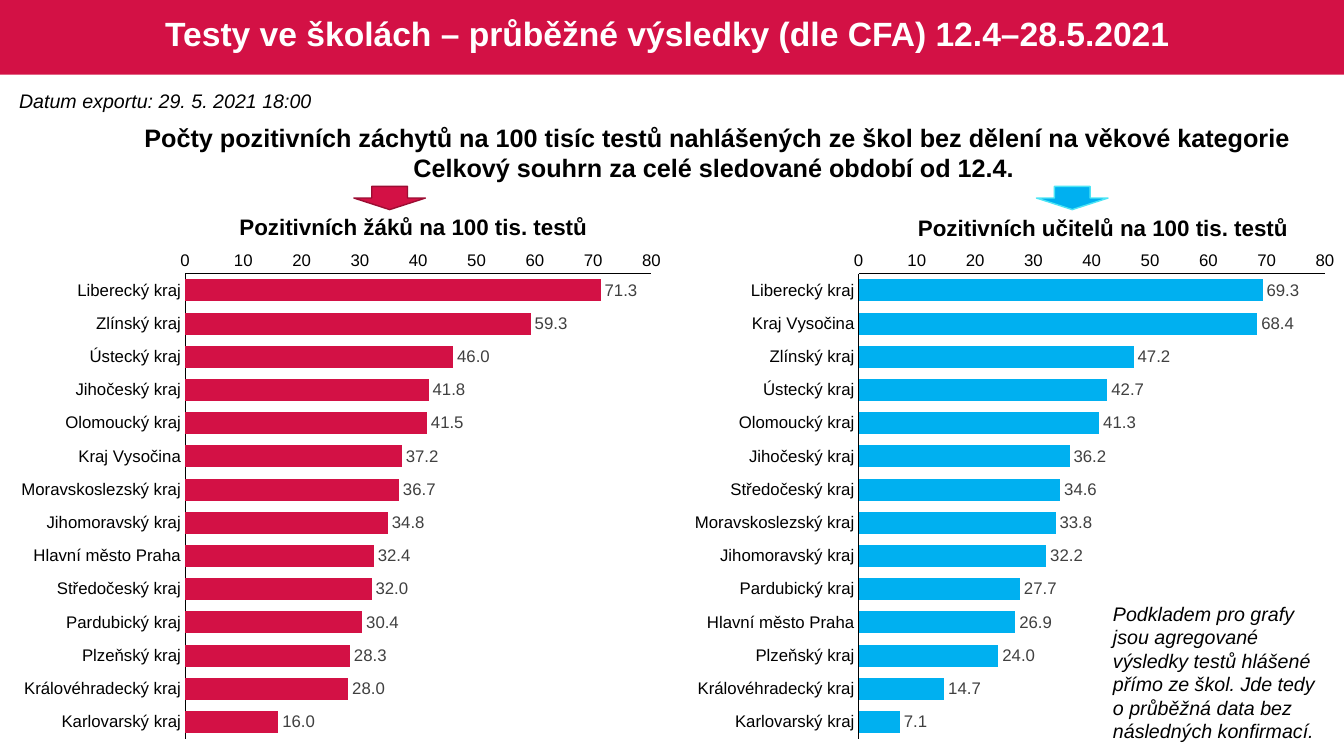
"""Build the slide with regional school test results for pupils and teachers."""
from dataclasses import dataclass

from lxml import etree
from pptx import Presentation
from pptx.chart.data import CategoryChartData
from pptx.dml.color import RGBColor
from pptx.enum.chart import XL_CHART_TYPE, XL_LABEL_POSITION, XL_TICK_MARK
from pptx.enum.shapes import MSO_SHAPE
from pptx.enum.text import MSO_ANCHOR, MSO_AUTO_SIZE, PP_ALIGN
from pptx.oxml.ns import qn
from pptx.slide import Slide
from pptx.text.text import Font
from pptx.util import Emu, Pt

BAR = XL_CHART_TYPE.BAR_CLUSTERED
OUTSIDE_END = XL_LABEL_POSITION.OUTSIDE_END
NO_TICK = XL_TICK_MARK.NONE
RECTANGLE, DOWN_ARROW = MSO_SHAPE.RECTANGLE, MSO_SHAPE.DOWN_ARROW
TOP, MIDDLE = MSO_ANCHOR.TOP, MSO_ANCHOR.MIDDLE
GROW, FIXED = MSO_AUTO_SIZE.SHAPE_TO_FIT_TEXT, MSO_AUTO_SIZE.NONE
LEFT, CENTER = PP_ALIGN.LEFT, PP_ALIGN.CENTER
EMU_PER_PX = 9144


@dataclass(frozen=True)
class Theme:
    font: str = "Arial"
    red: str = "D31145"
    dark_red: str = "9C0D33"
    blue: str = "00B0F0"
    light_blue: str = "4DE5F5"
    white: str = "FFFFFF"
    black: str = "000000"
    grey: str = "404040"
    title: int = 24
    subtitle: int = 18
    heading: int = 16
    note: int = 14
    chart: int = 12


@dataclass(frozen=True)
class Area:
    left: int
    top: int
    width: int
    height: int

    def emu(self) -> tuple[Emu, ...]:
        sides = (self.left, self.top, self.width, self.height)
        return tuple(Emu(side * EMU_PER_PX) for side in sides)


THEME = Theme()


@dataclass(frozen=True)
class Label:
    area: Area
    lines: tuple[str, ...]
    size: int
    color: str = THEME.black
    bold: bool = False
    italic: bool = False
    align: PP_ALIGN = CENTER
    anchor: MSO_ANCHOR = TOP
    spacing: float = 1.0
    wrap: bool = False
    fit: MSO_AUTO_SIZE = GROW


@dataclass(frozen=True)
class Panel:
    heading: Label
    arrow: Area
    chart: Area
    fill: str
    outline: str
    rates: dict[str, float]


LABELS = (
    Label(Area(18, 4, 1297, 63),
          ("Testy ve školách – průběžné výsledky (dle CFA) 12.4–28.5.2021 ",),
          THEME.title, THEME.white, bold=True, anchor=MIDDLE, spacing=0.9,
          wrap=True, fit=FIXED),
    Label(Area(9, 83, 312, 34), ("Datum exportu: 29. 5. 2021 18:00",),
          THEME.note, italic=True, align=LEFT),
    Label(Area(128, 116, 1167, 71),
          ("Počty pozitivních záchytů na 100 tisíc testů nahlášených ze škol "
           "bez dělení na věkové kategorie",
           "Celkový souhrn za celé sledované období od 12.4. "),
          THEME.subtitle, bold=True),
    Label(Area(1094, 592, 235, 151),
          ("Podkladem pro grafy jsou agregované výsledky testů hlášené přímo "
           "ze škol. Jde tedy o průběžná data bez následných konfirmací.",),
          THEME.note, italic=True, align=LEFT, wrap=True),
)

PANELS = (
    Panel(Label(Area(225, 207, 370, 37), ("Pozitivních žáků na 100 tis. testů",),
                THEME.heading, bold=True),
          Area(351, 185, 71, 23), Area(9, 241, 661, 503), THEME.red, THEME.dark_red,
          {"Liberecký kraj": 71.3, "Zlínský kraj": 59.3, "Ústecký kraj": 46.0,
           "Jihočeský kraj": 41.8, "Olomoucký kraj": 41.5, "Kraj Vysočina": 37.2,
           "Moravskoslezský kraj": 36.7, "Jihomoravský kraj": 34.8,
           "Hlavní město Praha": 32.4, "Středočeský kraj": 32.0,
           "Pardubický kraj": 30.4, "Plzeňský kraj": 28.3,
           "Královéhradecký kraj": 28.0, "Karlovarský kraj": 16.0}),
    Panel(Label(Area(898, 208, 392, 37), ("Pozitivních učitelů na 100 tis. testů",),
                THEME.heading, bold=True),
          Area(1028, 185, 71, 23), Area(677, 241, 661, 503), THEME.blue, THEME.light_blue,
          {"Liberecký kraj": 69.3, "Kraj Vysočina": 68.4, "Zlínský kraj": 47.2,
           "Ústecký kraj": 42.7, "Olomoucký kraj": 41.3, "Jihočeský kraj": 36.2,
           "Středočeský kraj": 34.6, "Moravskoslezský kraj": 33.8,
           "Jihomoravský kraj": 32.2, "Pardubický kraj": 27.7,
           "Hlavní město Praha": 26.9, "Plzeňský kraj": 24.0,
           "Královéhradecký kraj": 14.7, "Karlovarský kraj": 7.1}),
)


def rgb(color: str) -> RGBColor:
    return RGBColor.from_string(color)


def style_font(font: Font, size: int, color: str) -> None:
    font.name = THEME.font
    font.size = Pt(size)
    font.color.rgb = rgb(color)


def add_label(page: Slide, label: Label) -> None:
    frame = page.shapes.add_textbox(*label.area.emu()).text_frame
    frame.word_wrap = label.wrap
    frame.auto_size = label.fit
    frame.vertical_anchor = label.anchor
    for index, line in enumerate(label.lines):
        para = frame.add_paragraph() if index else frame.paragraphs[0]
        para.alignment = label.align
        para.line_spacing = label.spacing
        span = para.add_run()
        span.text = line
        style_font(span.font, label.size, label.color)
        span.font.bold = label.bold
        span.font.italic = label.italic


def add_block(page: Slide, kind: MSO_SHAPE, area: Area, fill: str, outline: str = "") -> None:
    shape = page.shapes.add_shape(kind, *area.emu())
    shape.shadow.inherit = False
    shape.fill.solid()
    shape.fill.fore_color.rgb = rgb(fill)
    if outline:
        shape.line.color.rgb = rgb(outline)
        shape.line.width = Pt(1)
    else:
        shape.line.fill.background()


def place_plot(plot_area: etree._Element) -> None:
    for old in plot_area.findall(qn("c:layout")):
        plot_area.remove(old)
    layout = etree.Element(qn("c:layout"))
    plot_area.insert(0, layout)
    manual = etree.SubElement(layout, qn("c:manualLayout"))
    settings = {"layoutTarget": "inner", "xMode": "edge", "yMode": "edge",
                "x": "0.264", "y": "0.061", "w": "0.7", "h": "0.917"}
    for name, value in settings.items():
        etree.SubElement(manual, qn(f"c:{name}"), val=value)


def add_bars(page: Slide, panel: Panel) -> None:
    data = CategoryChartData(number_format="#,##0.0")
    data.categories = list(panel.rates)
    data.add_series("Series 1", list(panel.rates.values()))
    chart = page.shapes.add_chart(BAR, *panel.chart.emu(), data).chart
    chart.has_title = chart.has_legend = False
    style_font(chart.font, THEME.chart, THEME.black)
    for axis in (chart.category_axis, chart.value_axis):
        axis.has_major_gridlines = False
        axis.major_tick_mark = axis.minor_tick_mark = NO_TICK
        axis.format.line.color.rgb = rgb(THEME.black)
        axis.format.line.width = Pt(0.75)
        style_font(axis.tick_labels.font, THEME.chart, THEME.black)
    chart.category_axis.reverse_order = True
    values = chart.value_axis
    values.minimum_scale, values.maximum_scale, values.major_unit = 0, 80, 10
    values.tick_labels.number_format = "0"
    values.tick_labels.number_format_is_linked = False
    plot = chart.plots[0]
    plot.gap_width = 50
    plot.vary_by_categories = False
    series = plot.series[0]
    series.format.fill.solid()
    series.format.fill.fore_color.rgb = rgb(panel.fill)
    labels = series.data_labels
    labels.show_value = True
    labels.number_format = "#,##0.0"
    labels.number_format_is_linked = False
    labels.position = OUTSIDE_END
    style_font(labels.font, THEME.chart, THEME.grey)
    place_plot(chart.element.find(f".//{qn('c:plotArea')}"))


def main() -> None:
    deck = Presentation()
    deck.slide_width, deck.slide_height = Emu(1333 * EMU_PER_PX), Emu(750 * EMU_PER_PX)
    page = deck.slides.add_slide(deck.slide_layouts[6])
    add_block(page, RECTANGLE, Area(0, 0, 1333, 74), THEME.red)
    for panel in PANELS:
        add_bars(page, panel)
        add_label(page, panel.heading)
        add_block(page, DOWN_ARROW, panel.arrow, panel.fill, panel.outline)
    for label in LABELS:
        add_label(page, label)
    deck.save("out.pptx")


if __name__ == "__main__":
    main()
